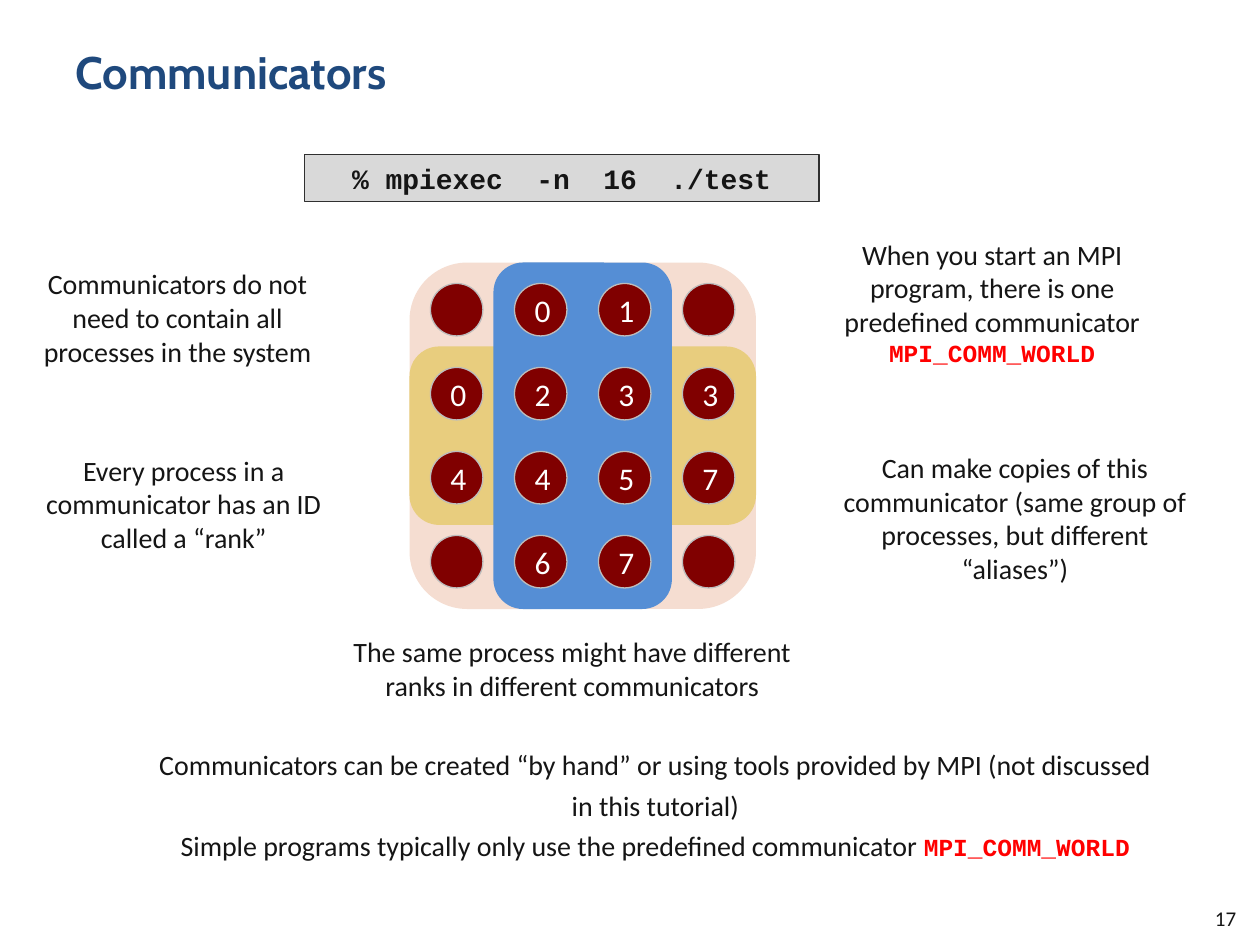
from pptx import Presentation
from pptx.dml.color import RGBColor
from pptx.enum.shapes import MSO_SHAPE
from pptx.enum.text import MSO_ANCHOR, PP_ALIGN
from pptx.util import Pt

COLORS = {
    "title": "1F497D", "text": "151515", "alert": "FF0000", "white": "FFFFFF",
    "world": "F5DDD1", "rows": "E8CD7E", "columns": "558ED5",
    "process": "800000", "ring": "BDBDBD", "code": "D9D9D9", "border": "303030",
}
# Run styles: font, size, colour, bold
STYLES = {
    "title": ("Cabin", 26, "title", True),
    "body": ("Calibri", 16, "text", False),
    "constant": ("Courier New", 14, "alert", True),
    "command": ("Courier New", 16, "text", True),
    "rank": ("Calibri", 18, "white", False),
    "number": ("Calibri", 12, "text", False),
}
WORLD = ("MPI_COMM_WORLD", "constant")

TITLE = [[("Communicators", "title")]]
COMMAND = [[("% mpiexec  -n  16  ./test", "command")]]
PAGE = [[("17", "number")]]
# Box (left, top, width, height), line spacing, paragraphs of runs
NOTES = [
    ((468, 132, 198, 85), None,
     [[("When you start an MPI program, there is one predefined communicator ", "body"), WORLD]]),
    ((468, 254, 224, 85), None,
     [[("Can make copies of this communicator (same group of processes, "
        "but different “aliases”)", "body")]]),
    ((8.5, 149, 186, 65.5), None,
     [[("Communicators do not need to contain all processes in the system", "body")]]),
    ((12, 255.5, 186, 65.5), None,
     [[("Every process in a communicator has an ID called a “rank”", "body")]]),
    ((180, 359, 294, 46), None,
     [[("The same process might have different ranks in different communicators", "body")]]),
    ((79, 420, 591, 77), 1.2,
     [[("Communicators can be created “by hand” or using tools provided by MPI "
        "(not discussed in this tutorial)", "body")],
      [("Simple programs typically only use the predefined communicator ", "body"), WORLD]]),
]
# Colour, first column, first row, columns, rows, {(column, row): rank}
COMMUNICATORS = [
    ("world", 0, 0, 4, 4, {(0, 0): "", (3, 0): "", (0, 3): "", (3, 3): ""}),
    ("rows", 0, 1, 4, 2, {(0, 1): "0", (3, 1): "3", (0, 2): "4", (3, 2): "7"}),
    ("columns", 1, 0, 2, 4,
     {(1 + i % 2, i // 2): str(i) for i in range(8)}),
]
GRID_X, GRID_Y, PITCH, DIAMETER, PAD = 246, 162, 48, 30, 12


def rgb(name):
    return RGBColor.from_string(COLORS[name])


def write(shape, paragraphs, align=PP_ALIGN.CENTER, anchor=MSO_ANCHOR.TOP, spacing=None):
    tf = shape.text_frame
    tf.word_wrap = True
    tf.vertical_anchor = anchor
    for i, runs in enumerate(paragraphs):
        p = tf.paragraphs[0] if i == 0 else tf.add_paragraph()
        p.alignment = align
        if spacing:
            p.line_spacing = spacing
        for text, style in runs:
            r = p.add_run()
            r.text = text
            r.font.name, size, color, r.font.bold = STYLES[style]
            r.font.size = Pt(size)
            r.font.color.rgb = rgb(color)


def add_text(s, box, paragraphs, **layout):
    write(s.shapes.add_textbox(*map(Pt, box)), paragraphs, **layout)


def add_filled(shapes, kind, box, fill, line=None):
    sp = shapes.add_shape(kind, *map(Pt, box))
    sp.shadow.inherit = False
    sp.fill.solid()
    sp.fill.fore_color.rgb = rgb(fill)
    if line:
        sp.line.color.rgb = rgb(line)
        sp.line.width = Pt(0.75)
    else:
        sp.line.fill.background()
    return sp


def span(count):
    """Length of a block that covers count processes and its padding."""
    return (count - 1) * PITCH + DIAMETER + 2 * PAD


def add_communicator(s, color, col, row, cols, rows, ranks):
    shapes = s.shapes.add_group_shape().shapes
    box = (GRID_X + col * PITCH - PAD, GRID_Y + row * PITCH - PAD, span(cols), span(rows))
    add_filled(shapes, MSO_SHAPE.ROUNDED_RECTANGLE, box, color)
    for (c, r), rank in ranks.items():
        box = (GRID_X + c * PITCH, GRID_Y + r * PITCH, DIAMETER, DIAMETER)
        process = add_filled(shapes, MSO_SHAPE.OVAL, box, "process", "ring")
        if rank:
            write(process, [[(rank, "rank")]], anchor=MSO_ANCHOR.MIDDLE)


def main():
    prs = Presentation()
    prs.slide_width, prs.slide_height = Pt(720), Pt(540)
    s = prs.slides.add_slide(prs.slide_layouts[6])
    add_text(s, (36, 21.6, 648, 62.6), TITLE, align=PP_ALIGN.LEFT)
    add_text(s, (636, 515, 77.5, 19.5), PAGE, align=PP_ALIGN.RIGHT, anchor=MSO_ANCHOR.MIDDLE)
    for communicator in COMMUNICATORS:
        add_communicator(s, *communicator)
    for box, spacing, paragraphs in NOTES:
        add_text(s, box, paragraphs, spacing=spacing)
    command = add_filled(s.shapes, MSO_SHAPE.RECTANGLE, (174, 88.5, 294, 26.6), "code", "border")
    write(command, COMMAND)
    prs.save("out.pptx")


if __name__ == "__main__":
    main()
